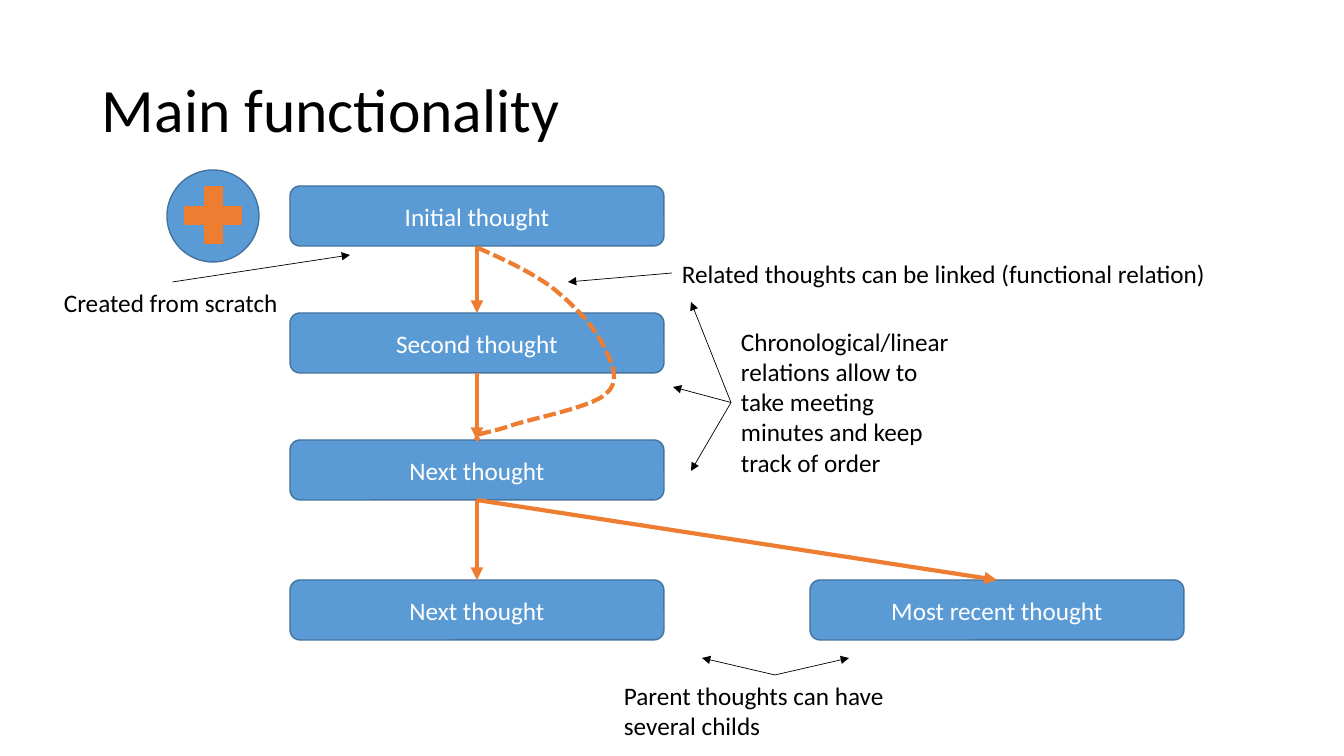
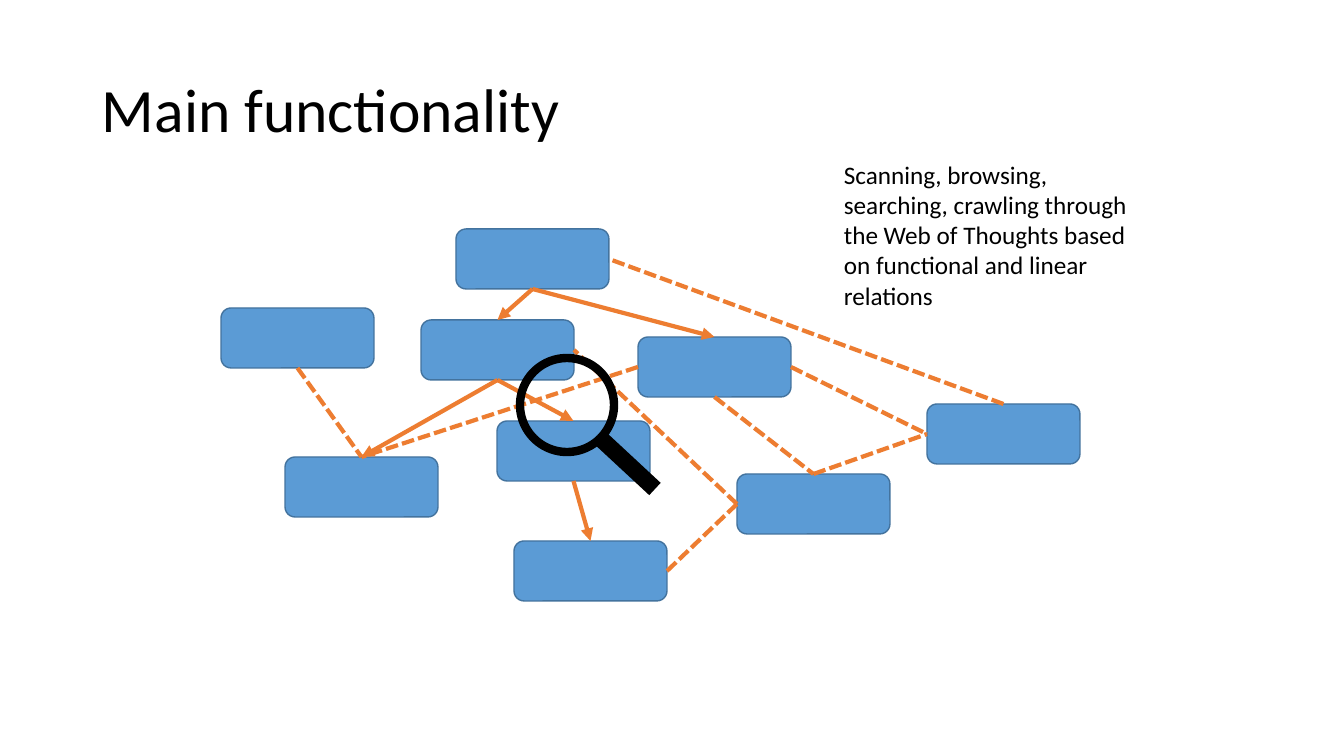
"""Build two slides on the main functionality of a web of thoughts."""
from lxml import etree
from pptx import Presentation
from pptx.dml.color import RGBColor
from pptx.enum.dml import MSO_LINE
from pptx.enum.shapes import MSO_CONNECTOR, MSO_SHAPE
from pptx.enum.text import MSO_ANCHOR, PP_ALIGN
from pptx.oxml.ns import qn
from pptx.util import Pt

PX = 914400 / 100.8
FONT = "Calibri"
COLORS = {"box": "5B9BD5", "edge": "43739E", "accent": "ED7D31",
          "text": "000000", "white": "FFFFFF"}
ROUNDED, OVAL, PLUS = MSO_SHAPE.ROUNDED_RECTANGLE, MSO_SHAPE.OVAL, MSO_SHAPE.MATH_PLUS
STRAIGHT = MSO_CONNECTOR.STRAIGHT
DASH = MSO_LINE.SQUARE_DOT
MIDDLE, TOP_ANCHOR = MSO_ANCHOR.MIDDLE, MSO_ANCHOR.TOP
LEFT_ALIGN, CENTER = PP_ALIGN.LEFT, PP_ALIGN.CENTER
TOP, LEFT, BOTTOM, RIGHT = range(4)
BOX_H = 60


def emu(*lengths):
    """Turn pixel lengths into EMU."""
    return [round(n * PX) for n in lengths]


def rgb(name):
    """Look up a named colour."""
    return RGBColor.from_string(COLORS[name])


def write(sp, text, size=18, color="text", align=LEFT_ALIGN, anchor=TOP_ANCHOR, wrap=True):
    """Put one run of text in a shape."""
    tf = sp.text_frame
    tf.word_wrap = wrap
    tf.vertical_anchor = anchor
    p = tf.paragraphs[0]
    p.alignment = align
    r = p.add_run()
    r.text = text
    r.font.size = Pt(size)
    r.font.name = FONT
    r.font.color.rgb = rgb(color)
    return p


def label(s, x, y, w, h, text, **style):
    """Add a text box and return it."""
    sp = s.shapes.add_textbox(*emu(x, y, w, h))
    write(sp, text, **style)
    return sp


def style_line(line, color, width, dashed=False):
    """Set the colour, width and dash of a line."""
    line.color.rgb = rgb(color)
    line.width = Pt(width)
    if dashed:
        line.dash_style = DASH


def shape(s, kind, x, y, w, h, fill="box", edge="edge", width=1):
    """Add a flat preset shape, hollow when fill is None."""
    sp = s.shapes.add_shape(kind, *emu(x, y, w, h))
    sp.shadow.inherit = False
    if fill:
        sp.fill.solid()
        sp.fill.fore_color.rgb = rgb(fill)
    else:
        sp.fill.background()
    style_line(sp.line, edge, width)
    return sp


def thought(s, x, y, w, text=None):
    """Add a rounded thought box."""
    sp = shape(s, ROUNDED, x, y, w, BOX_H)
    if text:
        write(sp, text, color="white", align=CENTER, anchor=MIDDLE)
    return sp


def connect(s, start, end, color="accent", width=3, dashed=False, arrow=True):
    """Join two ends, each a point or a shape with its side."""
    points = [(0, 0) if hasattr(e[0], "shape_id") else e for e in (start, end)]
    c = s.shapes.add_connector(STRAIGHT, *emu(*points[0], *points[1]))
    for e, glue in ((start, c.begin_connect), (end, c.end_connect)):
        if hasattr(e[0], "shape_id"):
            glue(*e)
    style_line(c.line, color, width, dashed)
    if arrow:
        etree.SubElement(c.line._get_or_add_ln(), qn("a:tailEnd"), type="triangle")
    etree.SubElement(c._element.spPr, qn("a:effectLst"))


def title(s, x, y, w, h):
    """Add the slide title."""
    sp = label(s, x, y, w, h, "Main functionality", size=44, anchor=MIDDLE)
    sp.text_frame.paragraphs[0].line_spacing = 0.9


def curve(s, x, y, points, steps=10):
    """Draw a dashed open curve through chained cubic Bezier pieces."""
    dots = []
    for i in range(0, len(points) - 1, 3):
        piece = points[i:i + 4]
        for n in range(1, steps + 1):
            t = n / steps
            weights = ((1 - t) ** 3, 3 * t * (1 - t) ** 2, 3 * t * t * (1 - t), t ** 3)
            px, py = (sum(k * pt[axis] for k, pt in zip(weights, piece)) for axis in (0, 1))
            dots.append(emu(x + px, y + py))
    fb = s.shapes.build_freeform(*emu(x + points[0][0], y + points[0][1]))
    fb.add_line_segments(dots, close=False)
    sp = fb.convert_to_shape()
    sp.shadow.inherit = False
    sp.fill.background()
    style_line(sp.line, "accent", 3, dashed=True)


def add_button(s, x, y, d):
    """Add the round button with a plus sign."""
    shape(s, OVAL, x, y, d, d)
    shape(s, PLUS, x + 8, y + 7, d - 15, d - 15, "accent", "accent")


def thought_flow(s, x, y, w):
    """Add the chain of thoughts with its branch and its functional link."""
    steps = (("Initial thought", 0), ("Second thought", 127),
             ("Next thought", 254), ("Next thought", 394))
    chain = [thought(s, x, y + dy, w, text) for text, dy in steps]
    recent = thought(s, x + 520, y + steps[-1][1], w, "Most recent thought")
    for a, b in [*zip(chain, chain[1:]), (chain[2], recent)]:
        connect(s, (a, BOTTOM), (b, TOP))
    curve(s, x, y, [(188, 62), (213, 73), (239, 85), (260, 100), (281, 116), (303, 139),
                    (312, 157), (321, 175), (332, 194), (316, 208), (301, 222), (238, 233),
                    (217, 241), (196, 248), (178, 248), (189, 254)])


def flow_notes(s, x, y):
    """Add the remarks around the flow, each with its pointers."""
    notes = (
        ("Created from scratch", (0, 29, 237, 40), False, TOP, [(296, 2)]),
        ("Chronological/linear relations allow to take meeting minutes and keep track of order",
         (677, 68, 236, 163), True, LEFT, [(637, 49), (619, 134), (637, 218)]),
        ("Related thoughts can be linked (functional relation)",
         (618, 0, 550, 40), False, LEFT, [(514, 29)]),
        ("Parent thoughts can have several childs",
         (560, 422, 322, 72), True, TOP, [(648, 405), (795, 405)]),
    )
    for text, (dx, dy, w, h), wrap, side, targets in notes:
        sp = label(s, x + dx, y + dy, w, h, text, wrap=wrap)
        for tx, ty in targets:
            connect(s, (sp, side), (x + tx, y + ty), "text", 0.5)


def thought_web(s, x, y, w):
    """Add the web of thoughts with linear and functional relations."""
    places = {"upper": (200, 91), "middle": (276, 192), "left": (0, 79),
              "root": (235, 0), "lower": (516, 245), "corner": (64, 228),
              "bottom": (293, 312), "right": (417, 108), "far": (706, 175)}
    boxes = {name: thought(s, x + dx, y + dy, w) for name, (dx, dy) in places.items()}
    linear = (("root", "upper"), ("root", "right"), ("upper", "middle"),
              ("middle", "bottom"), ("upper", "corner"))
    functional = (("right", LEFT, "corner", TOP), ("left", BOTTOM, "corner", TOP),
                  ("right", RIGHT, "far", LEFT), ("far", TOP, "root", RIGHT),
                  ("right", BOTTOM, "lower", TOP), ("lower", TOP, "far", LEFT),
                  ("bottom", RIGHT, "lower", LEFT), ("lower", LEFT, "upper", RIGHT))
    for a, b in linear:
        connect(s, (boxes[a], BOTTOM), (boxes[b], TOP))
    for a, side_a, b, side_b in functional:
        connect(s, (boxes[a], side_a), (boxes[b], side_b), dashed=True, arrow=False)


def magnifier(s, x, y, d):
    """Add a magnifying glass."""
    shape(s, OVAL, x, y, d, d, None, "text", 6)
    connect(s, (x + 80, y + 80), (x + 135, y + 131), "text", 12, arrow=False)


def flow_slide(s):
    """Fill the slide on how thoughts follow each other."""
    add_button(s, 167, 170, 92)
    thought_flow(s, 290, 186, 374)
    flow_notes(s, 54, 253)


def web_slide(s):
    """Fill the slide on searching the web of thoughts."""
    thought_web(s, 221, 229, 153)
    magnifier(s, 520, 358, 94)
    label(s, 834, 154, 322, 163, "Scanning, browsing, searching, crawling through "
          "the Web of Thoughts based on functional and linear relations")


def main():
    """Build and save the presentation."""
    prs = Presentation()
    prs.slide_width, prs.slide_height = emu(1344, 756)
    for fill_slide in (flow_slide, web_slide):
        s = prs.slides.add_slide(prs.slide_layouts[6])
        title(s, 92, 40, 1159, 146)
        fill_slide(s)
    prs.save("out.pptx")


main()
